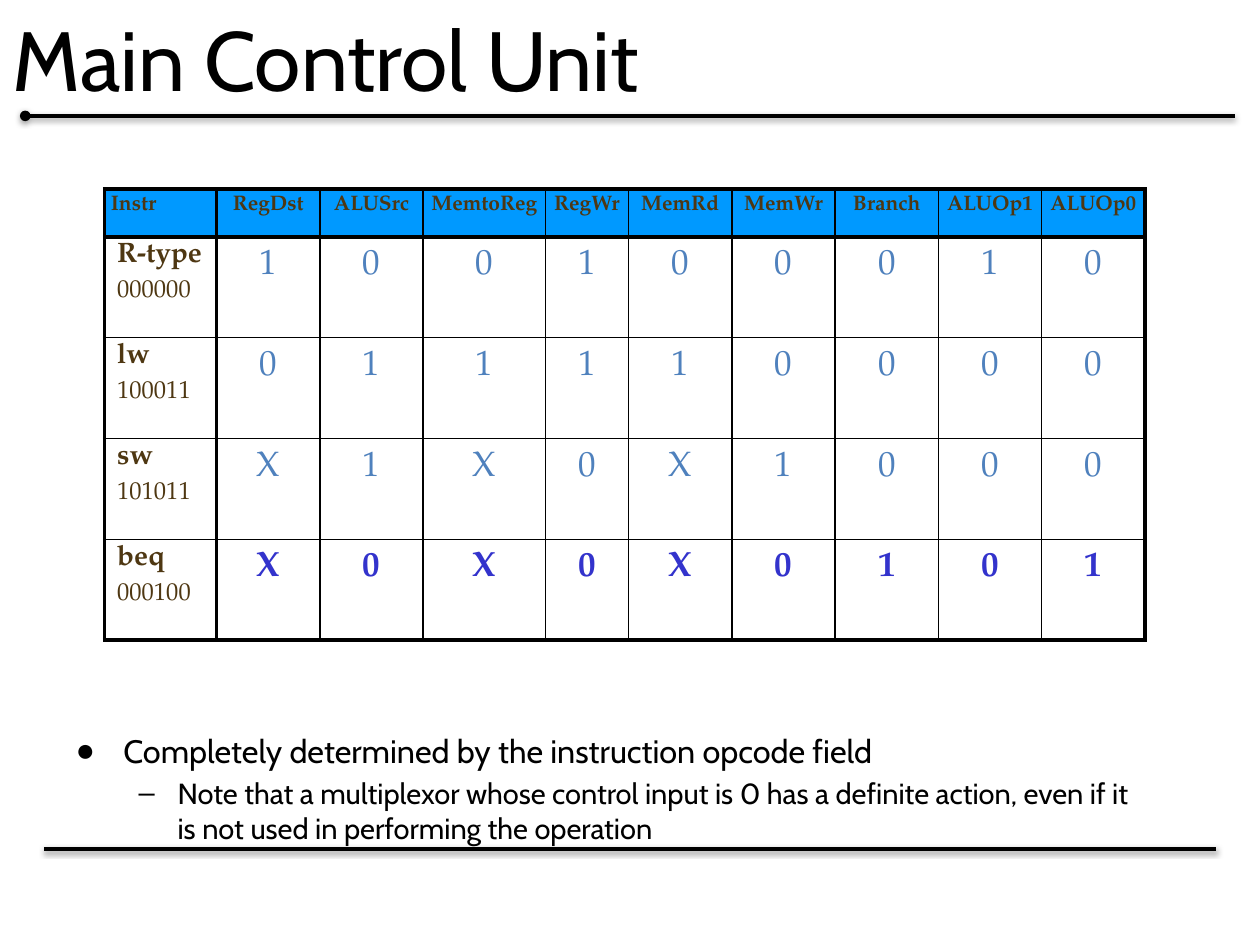
from dataclasses import dataclass

from lxml import etree
from pptx import Presentation
from pptx.dml.color import RGBColor
from pptx.enum.shapes import MSO_CONNECTOR
from pptx.enum.text import MSO_ANCHOR, MSO_AUTO_SIZE, PP_ALIGN
from pptx.oxml import parse_xml
from pptx.oxml.ns import nsdecls, qn
from pptx.slide import Slide
from pptx.table import _Cell
from pptx.text.text import TextFrame, _Paragraph
from pptx.util import Inches, Pt

LEFT, CENTER = PP_ALIGN.LEFT, PP_ALIGN.CENTER
MIDDLE, TOP = MSO_ANCHOR.MIDDLE, MSO_ANCHOR.TOP
NO_AUTOFIT = MSO_AUTO_SIZE.NONE
STRAIGHT = MSO_CONNECTOR.STRAIGHT

BLACK = RGBColor(0x00, 0x00, 0x00)
BROWN = RGBColor(0x4E, 0x37, 0x12)
HEADER_BLUE = RGBColor(0x00, 0x99, 0xFF)
VALUE_BLUE = RGBColor(0x4F, 0x81, 0xBD)
STRONG_BLUE = RGBColor(0x33, 0x33, 0xCC)

SLIDE_FONT = "Cabin"
TABLE_FONT = "TeX Gyre Pagella"
GRID_COLUMNS, GRID_ROWS = 200, 150
GRID_UNIT = Inches(0.05)
THIN, THICK = Pt(1), Pt(2.25)


@dataclass(frozen=True)
class Area:
    left: float
    top: float
    width: float
    height: float


@dataclass(frozen=True)
class Rule:
    start: float
    end: float
    row: float
    dotted_start: bool = False


@dataclass(frozen=True)
class TextStyle:
    size: float
    color: RGBColor
    bold: bool = False
    font: str = TABLE_FONT


@dataclass(frozen=True)
class Instruction:
    name: str
    opcode: str
    signals: str
    style: TextStyle


@dataclass(frozen=True)
class Bullet:
    text: str
    level: int
    mark: str
    margin: float
    hanging: float
    size: float
    space_before: float


HEADER_STYLE = TextStyle(12, BROWN, True)
NAME_STYLE = TextStyle(16, BROWN, True)
OPCODE_STYLE = TextStyle(14, BROWN)
VALUE_STYLE = TextStyle(20, VALUE_BLUE)
STRONG_STYLE = TextStyle(20, STRONG_BLUE, True)
TITLE_STYLE = TextStyle(48, BLACK, font=SLIDE_FONT)

TITLE_AREA = Area(0, 0, GRID_COLUMNS, 18.4)
BODY_AREA = Area(10, 115, 171.6, 19.8)
TABLE_AREA = Area(16.6, 30, 165, 71.6)
RULES = [Rule(4, 196, 18.4, True), Rule(193, 7, 134.8)]

COLUMN_WIDTHS = [17.8, 16.4, 16.4, 19.4, 13.2] + [16.4] * 5
ROW_HEIGHTS = [7.6] + [16] * 4
HEADERS = ["Instr", "RegDst", "ALUSrc", "MemtoReg", "RegWr", "MemRd", "MemWr", "Branch", "ALUOp1", "ALUOp0"]
INSTRUCTIONS = [
    Instruction("R-type", "000000", "100100010", VALUE_STYLE),
    Instruction("lw", "100011", "011110000", VALUE_STYLE),
    Instruction("sw", "101011", "X1X0X1000", VALUE_STYLE),
    Instruction("beq", "000100", "X0X0X0101", STRONG_STYLE),
]
BULLETS = [
    Bullet("Completely determined by the instruction opcode field", 0, "●", 0.38, 0.38, 18.5, 0),
    Bullet(
        "Note that a multiplexor whose control input is 0 has a definite action, "
        "even if it is not used in performing the operation",
        1, "–", 0.81, 0.31, 16.6, 3.3,
    ),
]


def grid(count: float) -> int:
    return round(count * GRID_UNIT)


def place(shape, area: Area) -> None:
    shape.left, shape.top = grid(area.left), grid(area.top)
    shape.width, shape.height = grid(area.width), grid(area.height)


def format_paragraph(paragraph: _Paragraph, style: TextStyle) -> None:
    font = paragraph.font
    font.name, font.size, font.bold = style.font, Pt(style.size), style.bold
    font.color.rgb = style.color


def draw_rule(slide: Slide, rule: Rule) -> None:
    row = grid(rule.row)
    connector = slide.shapes.add_connector(STRAIGHT, grid(rule.start), row, grid(rule.end), row)
    connector.line.color.rgb = BLACK
    connector.line.width = Pt(2)
    properties = connector._element.spPr
    if rule.dotted_start:
        etree.SubElement(properties.find(qn("a:ln")), qn("a:headEnd"), type="oval")
    properties.append(parse_xml(
        f'<a:effectLst {nsdecls("a")}>'
        f'<a:outerShdw blurRad="{Pt(3.1)}" dist="{Pt(1)}" dir="5400000" rotWithShape="0">'
        '<a:srgbClr val="000000"><a:alpha val="38000"/></a:srgbClr>'
        "</a:outerShdw></a:effectLst>"
    ))


def fill_title(slide: Slide, text: str) -> None:
    title = slide.shapes.title
    place(title, TITLE_AREA)
    frame = title.text_frame
    frame.text, frame.vertical_anchor, frame.auto_size = text, MIDDLE, NO_AUTOFIT
    frame.paragraphs[0].alignment = LEFT
    format_paragraph(frame.paragraphs[0], TITLE_STYLE)


def next_paragraph(frame: TextFrame, index: int) -> _Paragraph:
    return frame.add_paragraph() if index else frame.paragraphs[0]


def fill_body(slide: Slide) -> None:
    body = slide.placeholders[1]
    place(body, BODY_AREA)
    frame = body.text_frame
    frame.vertical_anchor, frame.auto_size = TOP, NO_AUTOFIT
    for index, bullet in enumerate(BULLETS):
        paragraph = next_paragraph(frame, index)
        paragraph.text, paragraph.level = bullet.text, bullet.level
        paragraph.space_before = Pt(bullet.space_before)
        properties = paragraph._p.get_or_add_pPr()
        properties.set("marL", str(Inches(bullet.margin)))
        properties.set("indent", str(-Inches(bullet.hanging)))
        etree.SubElement(properties, qn("a:buChar"), char=bullet.mark)
        format_paragraph(paragraph, TextStyle(bullet.size, BLACK, font=SLIDE_FONT))


def set_borders(cell: _Cell, row: int, column: int) -> None:
    heavy_columns = (0, 1, len(COLUMN_WIDTHS))
    heavy_rows = (0, 1, len(ROW_HEIGHTS))
    sides = {
        "lnL": column in heavy_columns,
        "lnR": column + 1 in heavy_columns,
        "lnT": row in heavy_rows,
        "lnB": row + 1 in heavy_rows,
    }
    properties = cell._tc.get_or_add_tcPr()
    for position, (side, heavy) in enumerate(sides.items()):
        properties.insert(position, parse_xml(
            f'<a:{side} {nsdecls("a")} w="{THICK if heavy else THIN}">'
            f'<a:solidFill><a:srgbClr val="{BLACK}"/></a:solidFill></a:{side}>'
        ))


def fill_cell(cell: _Cell, lines: list[tuple[str, TextStyle]], alignment: PP_ALIGN,
              side_margin: float, top_margin: float) -> None:
    cell.margin_left = cell.margin_right = Inches(side_margin)
    cell.margin_top = cell.margin_bottom = Inches(top_margin)
    for index, (text, style) in enumerate(lines):
        paragraph = next_paragraph(cell.text_frame, index)
        paragraph.text, paragraph.alignment = text, alignment
        paragraph.line_spacing = 0.9
        paragraph.space_before = Pt(7 if index else 0)
        format_paragraph(paragraph, style)


def draw_table(slide: Slide) -> None:
    frame = slide.shapes.add_table(len(ROW_HEIGHTS), len(COLUMN_WIDTHS), 0, 0, 0, 0)
    place(frame, TABLE_AREA)
    table = frame.table
    table.first_row = table.horz_banding = False
    for column, width in zip(table.columns, COLUMN_WIDTHS):
        column.width = grid(width)
    for row, height in zip(table.rows, ROW_HEIGHTS):
        row.height = grid(height)
    for column, header in enumerate(HEADERS):
        fill_cell(table.cell(0, column), [(header, HEADER_STYLE)], CENTER if column else LEFT, 0.05, 0.05)
    for row, instruction in enumerate(INSTRUCTIONS, 1):
        label = [(instruction.name, NAME_STYLE), (instruction.opcode, OPCODE_STYLE)]
        fill_cell(table.cell(row, 0), label, LEFT, 0.1, 0.05)
        for column, signal in enumerate(instruction.signals, 1):
            fill_cell(table.cell(row, column), [(signal, instruction.style)], CENTER, 0.1, 0.1)
    for index, cell in enumerate(table.iter_cells()):
        row, column = divmod(index, len(COLUMN_WIDTHS))
        if row:
            cell.fill.background()
        else:
            cell.fill.solid()
            cell.fill.fore_color.rgb = HEADER_BLUE
        set_borders(cell, row, column)


def main() -> None:
    presentation = Presentation()
    presentation.slide_width, presentation.slide_height = grid(GRID_COLUMNS), grid(GRID_ROWS)
    slide = presentation.slides.add_slide(presentation.slide_layouts[1])
    for rule in RULES:
        draw_rule(slide, rule)
    fill_title(slide, "Main Control Unit")
    fill_body(slide)
    draw_table(slide)
    presentation.save("out.pptx")


if __name__ == "__main__":
    main()
